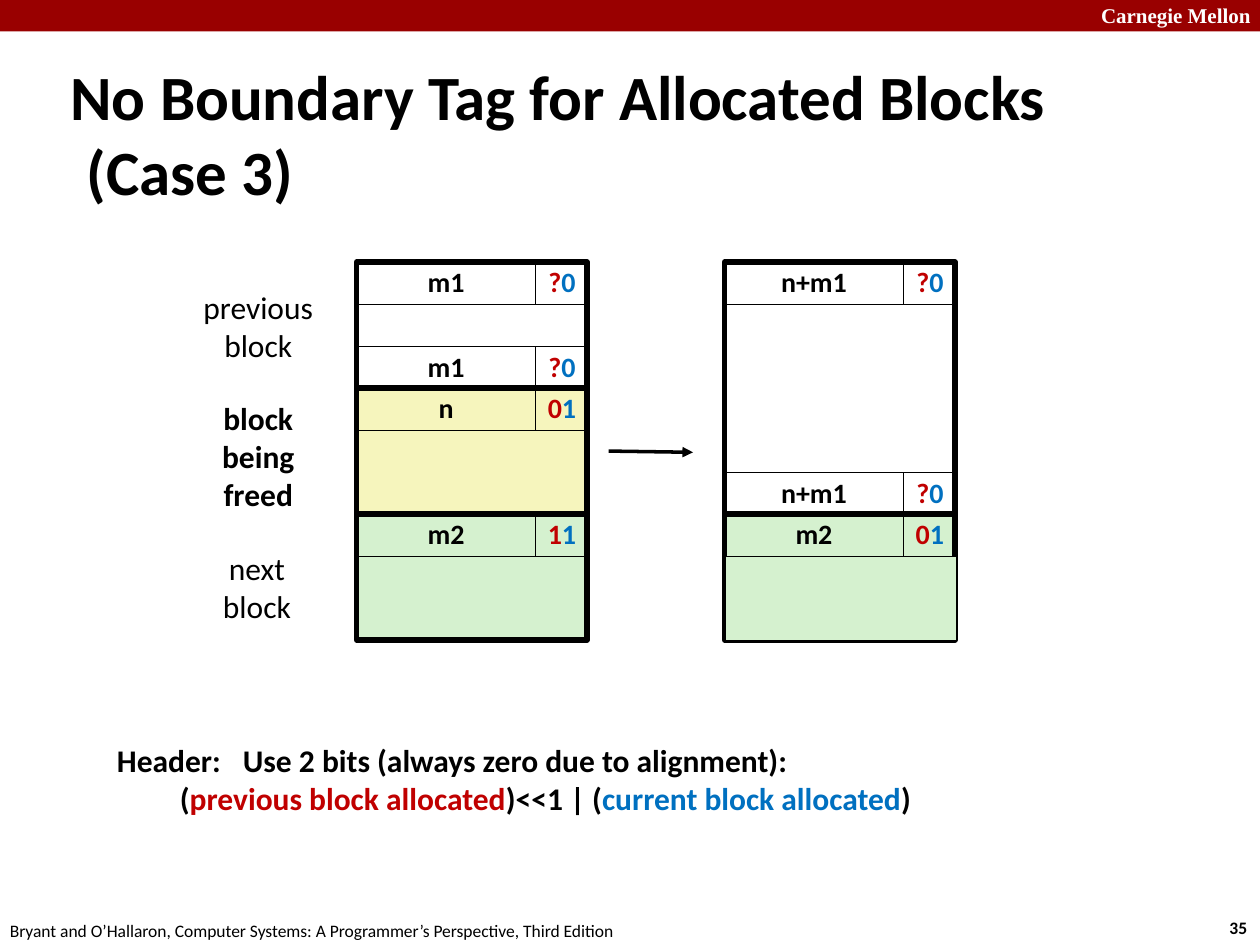
from lxml import etree
from pptx import Presentation
from pptx.dml.color import RGBColor
from pptx.enum.shapes import MSO_CONNECTOR, MSO_SHAPE
from pptx.enum.text import MSO_ANCHOR, MSO_AUTO_SIZE, PP_ALIGN
from pptx.oxml.ns import qn
from pptx.util import Inches, Pt

RECTANGLE = MSO_SHAPE.RECTANGLE
STRAIGHT = MSO_CONNECTOR.STRAIGHT
MIDDLE = MSO_ANCHOR.MIDDLE
LEFT, CENTER = PP_ALIGN.LEFT, PP_ALIGN.CENTER
FIXED, GROW = MSO_AUTO_SIZE.NONE, MSO_AUTO_SIZE.SHAPE_TO_FIT_TEXT

COLORS = {
    "banner": "990000",
    "black": "000000",
    "white": "FFFFFF",
    "yellow": "F6F5BD",
    "green": "D5F1CF",
    "previous": "C00000",
    "current": "0070C0",
}

ROW = 1 / 3
TOP = 2.08
BEFORE, AFTER = 2.83, 5.75
SIZE_WIDTH, FLAG_WIDTH = 1.42, 0.42
BLOCK_WIDTH = 1.83


def color(name):
    return RGBColor.from_string(COLORS[name])


class SlideBuilder:
    def __init__(self, slide, font="Calibri"):
        self.slide = slide
        self.font = font

    def add_pieces(self, paragraph, pieces, size, bold=False, font=None):
        """Add (text, colour) pieces to a paragraph; a newline is a line break."""
        for text, color_name in pieces:
            for index, line in enumerate(text.split("\n")):
                if index:
                    paragraph.add_line_break()
                run = paragraph.add_run()
                run.text = line
                run.font.name = font or self.font
                run.font.size = Pt(size)
                run.font.bold = bold
                run.font.color.rgb = color(color_name)

    def title(self, text, left, top, width, height):
        shape = self.slide.shapes.title
        shape.left, shape.top = Inches(left), Inches(top)
        shape.width, shape.height = Inches(width), Inches(height)
        frame = shape.text_frame
        frame.auto_size = FIXED
        frame.vertical_anchor = MIDDLE
        paragraph = frame.paragraphs[0]
        paragraph.alignment = LEFT
        properties = paragraph._p.get_or_add_pPr()
        properties.set("marL", str(Inches(0.13)))
        properties.set("indent", str(Inches(-0.13)))
        self.add_pieces(paragraph, [(text, "black")], 36, bold=True)

    def text(self, pieces, left, top, width, height, size, bold=False,
             alignment=LEFT, font=None, wrap=False):
        box = self.slide.shapes.add_textbox(
            Inches(left), Inches(top), Inches(width), Inches(height))
        frame = box.text_frame
        frame.word_wrap = wrap
        frame.auto_size = GROW
        paragraph = frame.paragraphs[0]
        paragraph.alignment = alignment
        self.add_pieces(paragraph, pieces, size, bold, font)

    def rectangle(self, left, top, width, height, fill=None, line=0.25, pieces=()):
        shape = self.slide.shapes.add_shape(
            RECTANGLE, Inches(left), Inches(top), Inches(width), Inches(height))
        shape.shadow.inherit = False
        if fill:
            shape.fill.solid()
            shape.fill.fore_color.rgb = color(fill)
        else:
            shape.fill.background()
        if line:
            shape.line.color.rgb = color("black")
            shape.line.width = Pt(line)
        else:
            shape.line.fill.background()
        if pieces:
            frame = shape.text_frame
            frame.word_wrap = False
            frame.vertical_anchor = MIDDLE
            paragraph = frame.paragraphs[0]
            paragraph.alignment = CENTER
            paragraph.line_spacing = 0.98
            self.add_pieces(paragraph, pieces, 16, bold=True)

    def tag(self, left, row, size, flags, fill):
        """Draw a header or footer word: the block size and its two flag bits."""
        top = TOP + row * ROW
        previous, current = flags
        self.rectangle(left, top, SIZE_WIDTH, ROW, fill, pieces=[(size, "black")])
        self.rectangle(left + SIZE_WIDTH, top, FLAG_WIDTH, ROW, fill,
                       pieces=[(previous, "previous"), (current, "current")])

    def body(self, left, row, rows, fill):
        self.rectangle(left, TOP + row * ROW, BLOCK_WIDTH, rows * ROW, fill)

    def frame(self, left, row, rows):
        self.rectangle(left, TOP + row * ROW, BLOCK_WIDTH, rows * ROW, line=3)

    def block(self, left, row, rows, size, flags, fill, footer=False):
        self.tag(left, row, size, flags, fill)
        self.body(left, row + 1, rows - 1 - footer, fill)
        if footer:
            self.tag(left, row + rows - 1, size, flags, fill)
        self.frame(left, row, rows)

    def arrow(self, start_x, start_y, end_x, end_y):
        connector = self.slide.shapes.add_connector(
            STRAIGHT, Inches(start_x), Inches(start_y), Inches(end_x), Inches(end_y))
        connector.line.color.rgb = color("black")
        connector.line.width = Pt(2)
        line = connector.line._get_or_add_ln()
        etree.SubElement(line, qn("a:tailEnd"), type="triangle")
        etree.SubElement(connector._element.spPr, qn("a:effectLst"))


def main():
    presentation = Presentation()
    presentation.slide_width, presentation.slide_height = Inches(10), Inches(7.5)
    title_only = presentation.slide_layouts[5]
    builder = SlideBuilder(presentation.slides.add_slide(title_only))

    builder.rectangle(0, 0, 10, 0.25, "banner", line=None)
    builder.text([("Carnegie Mellon", "white")], 8.64, -0.03, 1.43, 0.3, 12,
                 bold=True, font="Times New Roman", wrap=True)
    builder.text([("35", "black")], 9.66, 7.23, 0.37, 0.27, 10, bold=True)
    builder.text([("Bryant and O’Hallaron, Computer Systems: "
                   "A Programmer’s Perspective, Third Edition", "black")],
                 -0.02, 7.25, 5.08, 0.27, 10)
    builder.title("No Boundary Tag for Allocated Blocks (Case 3)",
                  0.46, 0.74, 9.08, 0.63)

    builder.block(BEFORE, 0, 3, "m1", "?0", "white", footer=True)
    builder.block(BEFORE, 3, 3, "n", "01", "yellow")
    builder.block(BEFORE, 6, 3, "m2", "11", "green")

    builder.arrow(4.83, 3.58, 5.5, 3.59)

    # The next block's body lies over both thick frames.
    builder.tag(AFTER, 6, "m2", "01", "green")
    builder.frame(AFTER, 6, 3)
    builder.block(AFTER, 0, 6, "n+m1", "?0", "white", footer=True)
    builder.body(AFTER + 0.01, 7, 2, "green")

    for label, left, top, width, height, bold in [
        ("previous\nblock", 1.5, 2.24, 1.1, 0.71, False),
        ("block\nbeing\nfreed", 1.66, 3.12, 0.78, 1.01, True),
        ("next\nblock", 1.66, 4.31, 0.76, 0.71, False),
    ]:
        builder.text([(label, "black")], left, top, width, height, 18, bold, CENTER)

    builder.text([
        ("Header: \tUse 2 bits (always zero due to alignment):\n\t(", "black"),
        ("previous block allocated", "previous"),
        (")<<1 | (", "black"),
        ("current block allocated", "current"),
        (")", "black"),
    ], 0.83, 5.83, 7.06, 0.71, 18, bold=True)

    presentation.save("out.pptx")


if __name__ == "__main__":
    main()
